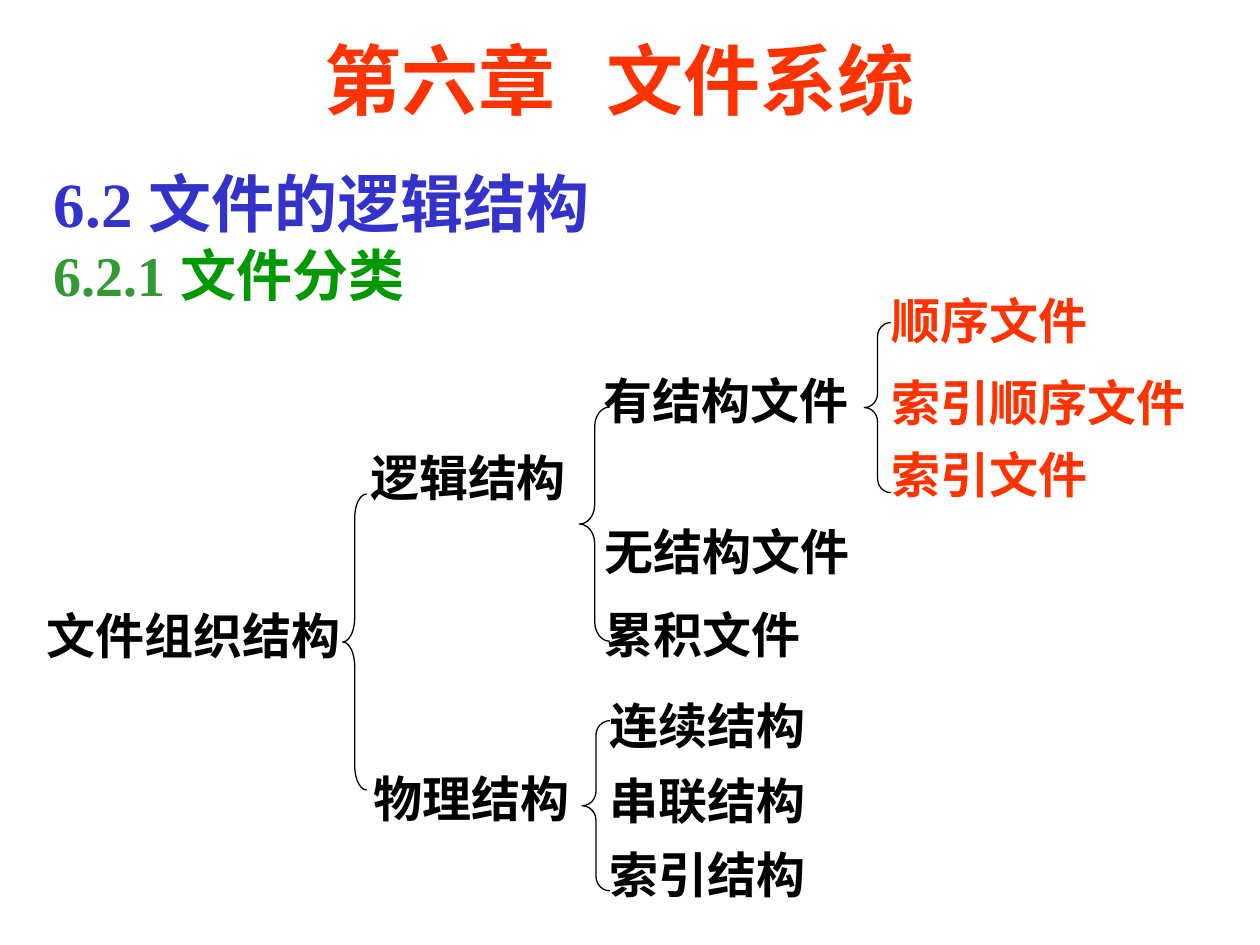
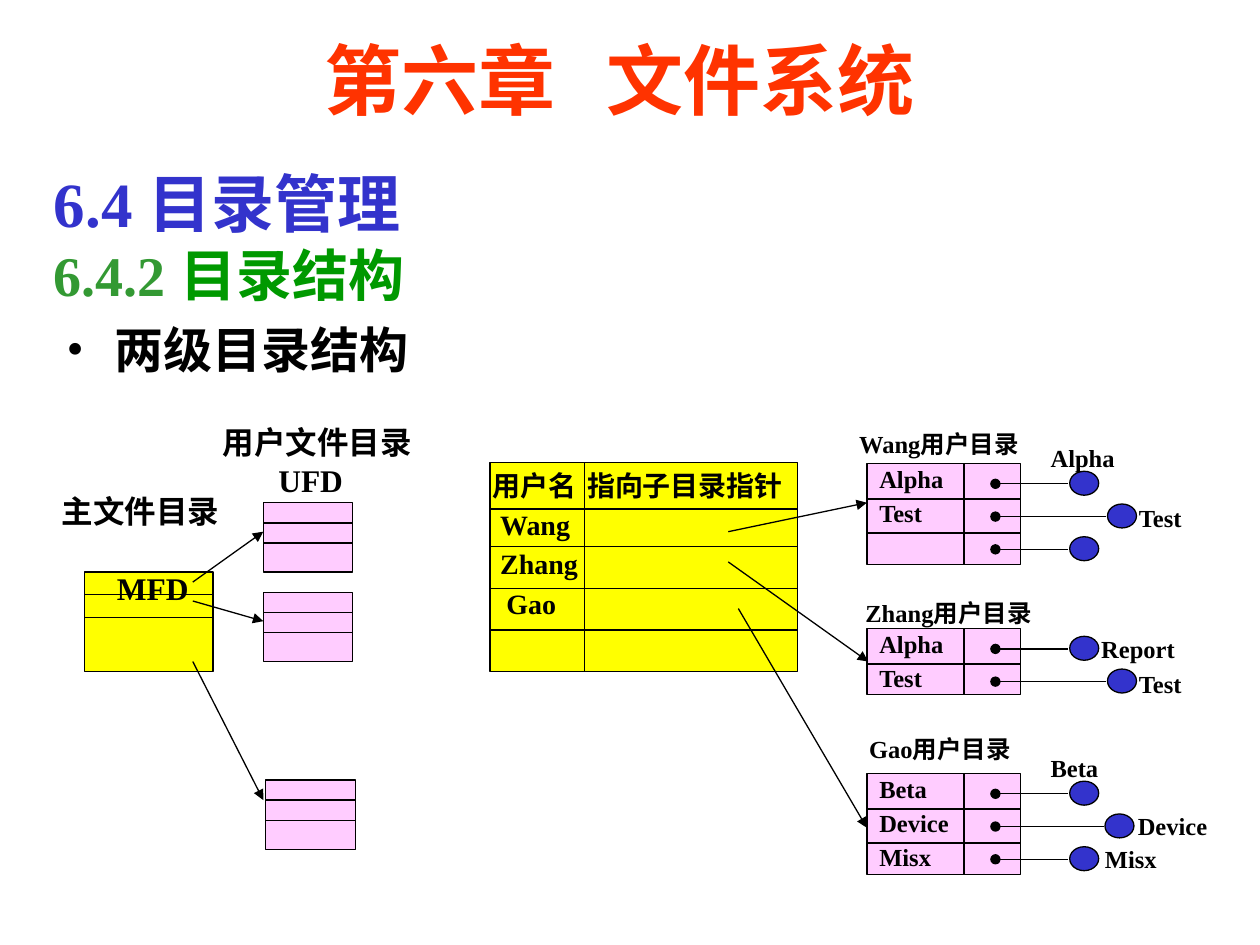
"""Build two lecture slides on file organisation and two-level directories."""
from dataclasses import dataclass
from typing import NamedTuple, Optional

from lxml.etree import SubElement
from pptx import Presentation
from pptx.dml.color import RGBColor
from pptx.enum.shapes import MSO_CONNECTOR as Connector, MSO_SHAPE as Preset
from pptx.enum.text import MSO_ANCHOR as Anchor, PP_ALIGN as Align
from pptx.oxml.ns import qn
from pptx.shapes.autoshape import Shape
from pptx.slide import Slide
from pptx.text.text import TextFrame
from pptx.util import Pt

EMU_PER_PX = 9144
FONT = "Times New Roman"
BLACK = RGBColor(0x00, 0x00, 0x00)
RED = RGBColor(0xFF, 0x33, 0x00)
BLUE = RGBColor(0x33, 0x33, 0xCC)
NUMBER_GREEN = RGBColor(0x33, 0x99, 0x33)
TOPIC_GREEN = RGBColor(0x00, 0x99, 0x00)
YELLOW = RGBColor(0xFF, 0xFF, 0x00)
PINK = RGBColor(0xFF, 0xCC, 0xFF)


class Box(NamedTuple):
    left: int
    top: int
    width: int
    height: int


class Run(NamedTuple):
    text: str
    size: int
    color: RGBColor = BLACK
    tracking: int = 0
    breaks: bool = False


@dataclass(frozen=True)
class Line:
    runs: tuple[Run, ...]
    indent: int = 0
    tab: int = 0
    bullet: bool = False


@dataclass(frozen=True)
class Label:
    text: str
    box: Box
    color: RGBColor = BLACK
    pad: int = 10


@dataclass(frozen=True)
class Brace:
    box: Box
    curve: float


@dataclass(frozen=True)
class UserFile:
    entry: str
    dot_left: int
    label: Optional[Label] = None


@dataclass(frozen=True)
class UserDirectory:
    title: Label
    top: int
    height: int
    files: tuple[UserFile, ...]


@dataclass(frozen=True)
class Arrow:
    start: tuple[int, int]
    end: tuple[int, int]


def px(length: int) -> int:
    return length * EMU_PER_PX


def plain(text: str, size: int, indent: int = 0, tab: int = 0) -> Line:
    return Line((Run(text, size),), indent, tab)


def write(frame: TextFrame, lines: list[Line], gap: float = 0, pad: tuple[int, int] = (10, 5),
          align: Align = Align.LEFT, anchor: Anchor = Anchor.TOP) -> None:
    frame.word_wrap = True
    frame.vertical_anchor = anchor
    frame.margin_left = frame.margin_right = px(pad[0])
    frame.margin_top = frame.margin_bottom = px(pad[1])
    for index, line in enumerate(lines):
        paragraph = frame.add_paragraph() if index else frame.paragraphs[0]
        paragraph.alignment = align
        properties = paragraph._p.get_or_add_pPr()
        if line.indent:
            properties.set("marL", str(px(line.indent)))
        if line.bullet:
            properties.set("indent", str(-px(line.indent)))
            SubElement(properties, qn("a:buFont"), typeface=FONT)
            SubElement(properties, qn("a:buChar"), char="•")
            paragraph.line_spacing = 1.1
        if line.tab:
            stops = SubElement(properties, qn("a:tabLst"))
            SubElement(stops, qn("a:tab"), pos=str(px(line.tab)), algn="l")
        if index and gap:
            paragraph.space_before = Pt(gap)
        for part in line.runs:
            run = paragraph.add_run()
            run.text = part.text
            run.font.name = FONT
            run.font.size = Pt(part.size)
            run.font.bold = True
            run.font.color.rgb = part.color
            if part.tracking:
                run._r.get_or_add_rPr().set("spc", str(part.tracking * 100))
            if part.breaks:
                paragraph.add_line_break()


def add_text(slide: Slide, box: Box, lines: list[Line], **style) -> None:
    write(slide.shapes.add_textbox(*map(px, box)).text_frame, lines, **style)


def add_label(slide: Slide, label: Label, size: int) -> None:
    add_text(slide, label.box, [Line((Run(label.text, size, label.color),))], pad=(label.pad, 5))


def add_outline(slide: Slide, preset: Preset, box: Box, fill: Optional[RGBColor] = None) -> Shape:
    shape = slide.shapes.add_shape(preset, *map(px, box))
    shape.shadow.inherit = False
    if fill is None:
        shape.fill.background()
    else:
        shape.fill.solid()
        shape.fill.fore_color.rgb = fill
    shape.line.color.rgb = BLACK
    shape.line.width = Pt(0.75)
    return shape


def add_line(slide: Slide, start: tuple[int, int], end: tuple[int, int],
             head: str = "", tail: str = "") -> None:
    line = slide.shapes.add_connector(Connector.STRAIGHT, *map(px, (*start, *end)))
    line.line.color.rgb = BLACK
    line.line.width = Pt(0.75)
    for tag, kind in (("a:headEnd", head), ("a:tailEnd", tail)):
        if kind:
            SubElement(line.line._get_or_add_ln(), qn(tag), type=kind)
    SubElement(line._element.spPr, qn("a:effectLst"))


def add_grid(slide: Slide, box: Box, fill: RGBColor, rows: list[int], column: int = 0) -> Shape:
    grid = add_outline(slide, Preset.RECTANGLE, box, fill)
    for row in rows:
        y = box.top + row
        add_line(slide, (box.left, y), (box.left + box.width, y))
    if column:
        x = box.left + column
        add_line(slide, (x, box.top), (x, box.top + box.height))
    return grid


def add_brace(slide: Slide, brace: Brace) -> None:
    shape = add_outline(slide, Preset.LEFT_BRACE, brace.box)
    shape.adjustments[0] = brace.curve
    shape.adjustments[1] = 0.5


def add_user_directory(slide: Slide, directory: UserDirectory) -> None:
    add_label(slide, directory.title, 14)
    rows = [28 + 27 * i for i in range(len(directory.files) - 1)]
    grid = add_grid(slide, Box(688, directory.top, 122, directory.height), PINK, rows, 77)
    entries = [plain(file.entry, 14) for file in directory.files if file.entry]
    write(grid.text_frame, entries, gap=2.8, pad=(10, 0))
    for index, file in enumerate(directory.files):
        y = directory.top + 16 + 26 * index
        add_outline(slide, Preset.OVAL, Box(file.dot_left, y - 10, 23, 19), BLUE)
        add_line(slide, (790, y), (file.dot_left - 1, y), head="oval")
        if file.label:
            add_label(slide, file.label, 14)


def add_chapter_slide(deck: Presentation, section: tuple[str, str, str]) -> Slide:
    slide = deck.slides.add_slide(deck.slide_layouts[6])
    heading, number, topic = section
    chapter = Line((Run("第六章", 44, RED), Run(" ", 44, RED, tracking=19), Run("文件系统", 44, RED)))
    add_text(slide, Box(117, 25, 750, 75), [chapter], align=Align.CENTER, anchor=Anchor.MIDDLE)
    add_text(slide, Box(33, 126, 925, 123), [Line((
        Run(heading, 36, BLUE, breaks=True),
        Run(number, 32, NUMBER_GREEN),
        Run(topic, 32, TOPIC_GREEN),
    ))])
    return slide


ORGANISATION = [
    Label("文件组织结构", Box(27, 476, 268, 57)),
    Label("逻辑结构", Box(284, 350, 184, 57)),
    Label("物理结构", Box(287, 605, 184, 57)),
    Label("有结构文件", Box(469, 289, 220, 57)),
    Label("顺序文件", Box(698, 226, 184, 57), RED),
    Label("索引顺序文件", Box(698, 291, 267, 57), RED),
    Label("索引文件", Box(698, 348, 184, 57), RED),
    Label("连续结构", Box(474, 547, 184, 57)),
    Label("串联结构", Box(474, 607, 184, 57)),
    Label("索引结构", Box(474, 665, 184, 57)),
]
BRACES = [
    Brace(Box(272, 392, 19, 235), 1.02),
    Brace(Box(686, 256, 21, 135), 0.53),
    Brace(Box(460, 323, 24, 186), 0.64),
    Brace(Box(462, 572, 22, 135), 0.52),
]
USER_DIRECTORIES = [
    UserDirectory(Label("Wang用户目录", Box(672, 336, 157, 33)), 368, 80, (
        UserFile("Alpha", 849, Label("Alpha", Box(824, 347, 76, 33))),
        UserFile("Test", 879, Label("Test", Box(894, 394, 61, 33))),
        UserFile("", 849),
    )),
    UserDirectory(Label("Zhang用户目录", Box(677, 470, 157, 33)), 499, 52, (
        UserFile("Alpha", 849, Label("Report", Box(872, 498, 76, 33), pad=2)),
        UserFile("Test", 879, Label("Test", Box(894, 526, 61, 33))),
    )),
    UserDirectory(Label("Gao用户目录", Box(680, 578, 157, 33)), 614, 80, (
        UserFile("Beta", 849, Label("Beta", Box(824, 593, 76, 33))),
        UserFile("Device", 877, Label("Device", Box(903, 639, 61, 33), pad=0)),
        UserFile("Misx", 849, Label("Misx", Box(877, 665, 44, 33), pad=0)),
    )),
]
POINTERS = [
    Arrow((578, 422), (688, 399)),
    Arrow((578, 446), (689, 525)),
    Arrow((586, 483), (688, 657)),
    Arrow((153, 462), (209, 422)),
    Arrow((153, 477), (209, 493)),
    Arrow((153, 525), (209, 635)),
]


def build_classification(deck: Presentation) -> None:
    slide = add_chapter_slide(deck, ("6.2 文件的逻辑结构", "6.2.1 ", "文件分类"))
    for label in ORGANISATION:
        add_label(slide, label, 28)
    unstructured = [plain("无结构文件", 28), plain("累积文件", 28)]
    add_text(slide, Box(470, 409, 220, 127), unstructured, gap=14)
    for brace in BRACES:
        add_brace(slide, brace)


def build_two_level_directory(deck: Presentation) -> None:
    slide = add_chapter_slide(deck, ("6.4 目录管理", "6.4.2 ", "目录结构"))
    topic = Line((Run("两级目录结构", 28),), indent=38, bullet=True)
    add_text(slide, Box(43, 244, 937, 63), [topic])
    users = add_grid(slide, Box(389, 367, 244, 166), YELLOW, [37, 67, 100, 133], 75)
    write(users.text_frame, [
        plain("用户名\t指向子目录指针", 16, tab=75),
        plain("Wang", 16, indent=6),
        plain("Zhang", 16, indent=6),
        plain("Gao", 16, indent=11),
    ], gap=3.2, pad=(2, 5))
    for directory in USER_DIRECTORIES:
        add_user_directory(slide, directory)
    add_grid(slide, Box(67, 454, 102, 79), YELLOW, [18, 36])
    for left, top in ((209, 399), (209, 470), (211, 619)):
        add_grid(slide, Box(left, top, 71, 55), PINK, [16, 32])
    for pointer in POINTERS:
        add_line(slide, pointer.start, pointer.end, tail="triangle")
    for box, name, short_name, gap in (
        (Box(39, 386, 150, 70), "主文件目录", "MFD", 22),
        (Box(167, 331, 181, 70), "用户文件目录", "UFD", 0),
    ):
        add_text(slide, box, [plain(name, 18), plain(short_name, 18, indent=44)], gap=gap)


def main() -> None:
    deck = Presentation()
    deck.slide_width, deck.slide_height = px(1000), px(750)
    build_classification(deck)
    build_two_level_directory(deck)
    deck.save("out.pptx")


if __name__ == "__main__":
    main()
